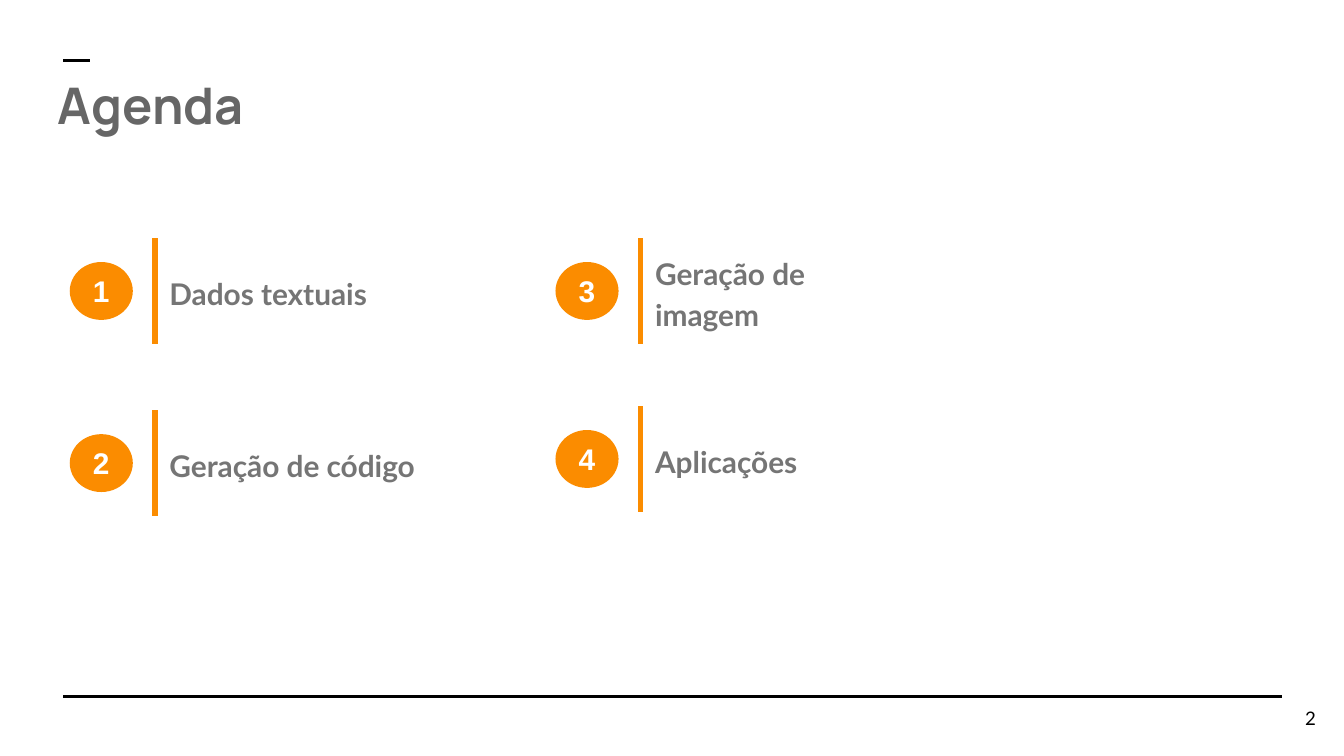
from dataclasses import dataclass

from lxml import etree
from pptx import Presentation
from pptx.dml.color import RGBColor
from pptx.enum import shapes, text
from pptx.oxml import ns
from pptx.util import Pt


@dataclass(frozen=True)
class Theme:
    """Colours, fonts and sizes of the slide."""
    accent: str = "FB8C00"
    black: str = "000000"
    white: str = "FFFFFF"
    title: str = "666666"
    body: str = "757575"
    title_font: str = "Manrope"
    body_font: str = "Lato"
    number_font: str = "Arial"
    title_size: float = 27
    item_size: float = 16
    page_size: float = 10
    inset: float = 7.2
    rule: float = 1.5
    bar: float = 3


T = Theme()
ALIGN, ANCHOR = text.PP_ALIGN, text.MSO_ANCHOR


def set_text(sp, words, font, size, color, bold=True, align=ALIGN.LEFT,
             anchor=ANCHOR.MIDDLE, spacing=1.0):
    """Write one formatted paragraph into a shape."""
    tf = sp.text_frame
    frame = {"word_wrap": True, "auto_size": text.MSO_AUTO_SIZE.NONE,
             "vertical_anchor": anchor}
    frame.update({f"margin_{side}": Pt(T.inset)
                  for side in ("left", "top", "right", "bottom")})
    p = tf.paragraphs[0]
    r = p.add_run()
    r.text = words
    formats = [
        (tf, frame),
        (p, {"alignment": align, "line_spacing": spacing}),
        (r.font, {"name": font, "size": Pt(size), "bold": bold}),
    ]
    for target, values in formats:
        for name, value in values.items():
            setattr(target, name, value)
    r.font.color.rgb = RGBColor.from_string(color)


def add_line(parent, x1, y1, x2, y2, color, width):
    """Draw a straight line without a shadow."""
    line = parent.shapes.add_connector(
        shapes.MSO_CONNECTOR.STRAIGHT, Pt(x1), Pt(y1), Pt(x2), Pt(y2))
    line.line.color.rgb = RGBColor.from_string(color)
    line.line.width = Pt(width)
    etree.SubElement(line._element.spPr, ns.qn("a:effectLst"))


def add_header(s, x, y, w, h, words):
    """Place the title and the short rule above it."""
    add_line(s, x + 10.1, y, x + 24.5, y, T.black, T.rule)
    sp = s.shapes.title
    sp.left, sp.top, sp.width, sp.height = Pt(x), Pt(y), Pt(w), Pt(h)
    set_text(sp, words, T.title_font, T.title_size, T.title, anchor=ANCHOR.TOP)


def add_item(s, x, y, w, h, number, words):
    """Place a numbered circle, a vertical bar and a label."""
    bar_x, bar_inset = x + 45.6, 6
    circle_w, circle_h = 33.8, 31
    group = s.shapes.add_group_shape()
    add_line(group, bar_x, y + bar_inset, bar_x, y + h - bar_inset,
             T.accent, T.bar)
    label = group.shapes.add_textbox(Pt(bar_x + 0.7), Pt(y), Pt(w), Pt(h))
    set_text(label, words, T.body_font, T.item_size, T.body, spacing=1.15)

    circle = s.shapes.add_shape(
        shapes.MSO_SHAPE.OVAL, Pt(x), Pt(y + (h - circle_h) / 2),
        Pt(circle_w), Pt(circle_h))
    circle.shadow.inherit = False
    circle.fill.solid()
    circle.fill.fore_color.rgb = RGBColor.from_string(T.accent)
    circle.line.fill.background()
    set_text(circle, str(number), T.number_font, T.item_size, T.white,
             align=ALIGN.CENTER)


def add_agenda(s, x, y, h, columns):
    """Place the columns of items, numbered down each column."""
    column_step, number = 260.2, 1
    for i, (row_step, items) in enumerate(columns):
        for j, (words, w) in enumerate(items):
            add_item(s, x + i * column_step, y + j * row_step, w, h,
                     number, words)
            number += 1


def add_footer(s, x, y, w, page):
    """Place the bottom rule and the page number."""
    add_line(s, x, y, x + w, y, T.black, T.rule)
    sp = s.shapes.add_textbox(Pt(x + w - 18), Pt(y - 3.6), Pt(43.2), Pt(31))
    set_text(sp, str(page), T.body_font, T.page_size, T.black, bold=False,
             align=ALIGN.RIGHT)


def main():
    """Build and save the agenda slide."""
    prs = Presentation()
    prs.slide_width, prs.slide_height = Pt(720), Pt(405)
    s = prs.slides.add_slide(prs.slide_layouts.get_by_name("Title Only"))
    columns = [
        (92.2, [("Dados textuais", 131.8), ("Geração de código", 154.8)]),
        (90, [("Geração de imagem", 110.9), ("Aplicações", 160.6)]),
    ]
    add_footer(s, 33.8, 373, 653, 2)
    add_header(s, 23.8, 32.4, 671, 50.4, "Agenda")
    add_agenda(s, 37.4, 121.7, 68.4, columns)
    prs.save("out.pptx")


if __name__ == "__main__":
    main()
